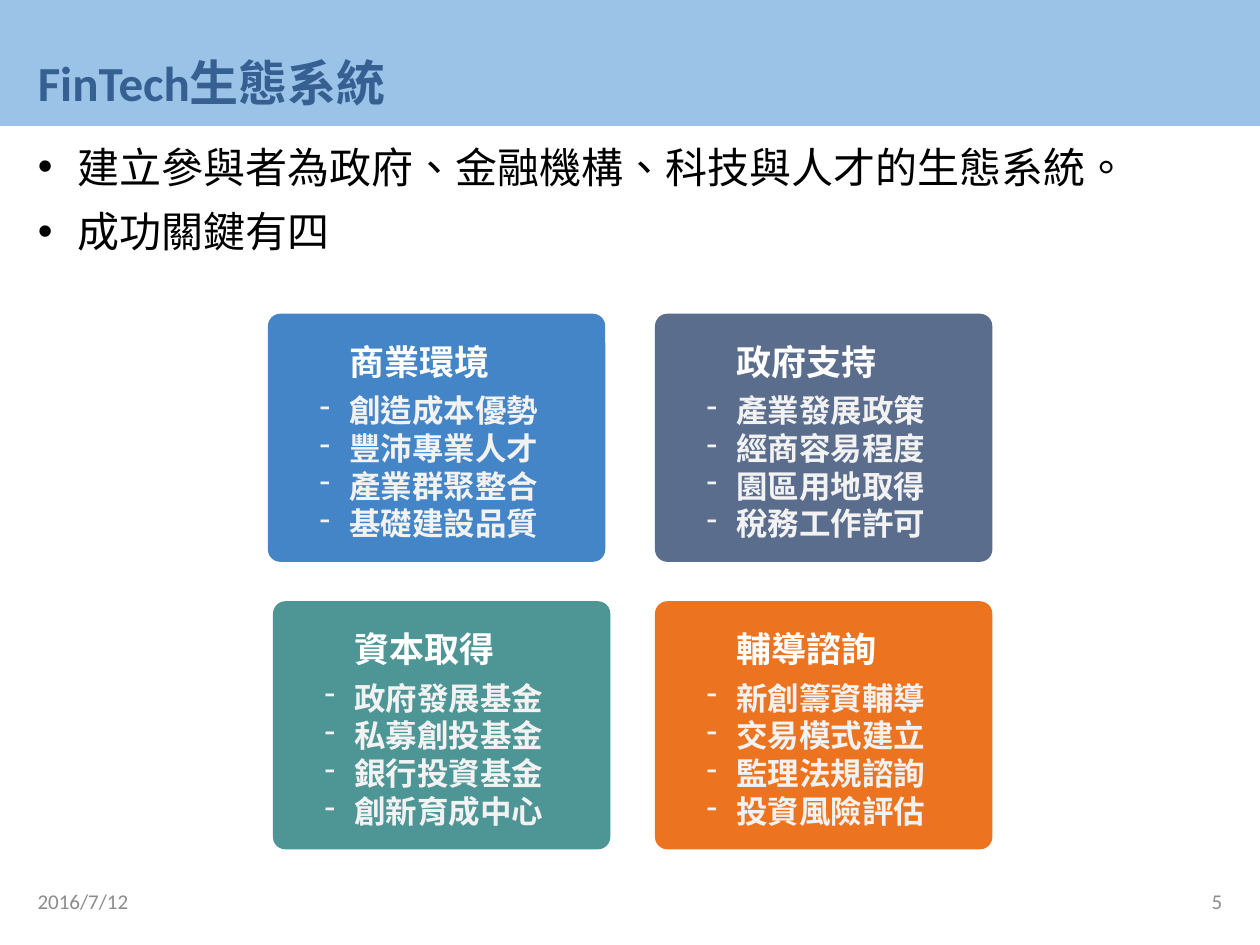
import dataclasses

import lxml.etree
import pptx
import pptx.dml.color
import pptx.enum.lang
import pptx.enum.shapes
import pptx.enum.text
import pptx.oxml.ns
import pptx.util

Pt = pptx.util.Pt
RGB = pptx.dml.color.RGBColor.from_string
ALIGN = pptx.enum.text.PP_ALIGN
ANCHOR = pptx.enum.text.MSO_ANCHOR
FIT = pptx.enum.text.MSO_AUTO_SIZE
PRESET = pptx.enum.shapes.MSO_SHAPE


@dataclasses.dataclass(frozen=True)
class Theme:
    """Fonts, type sizes and colours of the slide."""
    font: str = "Calibri"
    card_font: str = "Noto Sans CJK SC"
    title_size: int = 28
    body_size: int = 24
    heading_size: int = 20
    item_size: int = 18
    footer_size: int = 12
    banner: str = "9BC2E7"
    title: str = "376092"
    body: str = "000000"
    heading: str = "FFFFFF"
    item: str = "F2F2F2"
    footer: str = "8C8C8C"


theme = Theme()


def write_lines(box, lines, font, size, color, bold=False, align=ALIGN.LEFT,
                bullet=None, indent=0, before=0, anchor=ANCHOR.TOP, fit=FIT.NONE):
    """Fill a box with one formatted paragraph per line."""
    frame = box.text_frame
    frame.word_wrap = True
    frame.auto_size = fit
    frame.vertical_anchor = anchor
    for index, line in enumerate(lines):
        para = frame.add_paragraph() if index else frame.paragraphs[0]
        para.alignment = align
        para.space_before = Pt(before)
        para.line_spacing = Pt(size * 1.2)
        if bullet:
            properties = para._p.get_or_add_pPr()
            properties.set("marL", str(Pt(indent)))
            properties.set("indent", str(-Pt(indent)))
            mark = lxml.etree.SubElement(properties, pptx.oxml.ns.qn("a:buChar"))
            mark.set("char", bullet)
        span = para.add_run()
        span.text = line
        span.font.name = font
        span.font.size = Pt(size)
        span.font.bold = bold
        span.font.color.rgb = RGB(color)
        span.font.language_id = pptx.enum.lang.MSO_LANGUAGE_ID.TRADITIONAL_CHINESE


def add_panel(shapes, preset, left, top, width, height, color):
    """Add a flat filled shape without outline or shadow."""
    panel = shapes.add_shape(preset, Pt(left), Pt(top), Pt(width), Pt(height))
    panel.shadow.inherit = False
    panel.fill.solid()
    panel.fill.fore_color.rgb = RGB(color)
    panel.line.fill.background()
    return panel


deck = pptx.Presentation()
deck.slide_width, deck.slide_height = Pt(720), Pt(540)
page = deck.slides.add_slide(deck.slide_layouts[1])
margin, text_width = 14.4, 692

# Banner, title and opening points
title, body = page.shapes.title, page.placeholders[1]
banner = add_panel(page.shapes, PRESET.RECTANGLE, 0, 0, 720, 72, theme.banner)
title.element.addprevious(banner.element)

for box, top, height in ((title, 15.8, 62), (body, 77, 420)):
    box.left, box.top = Pt(margin), Pt(top)
    box.width, box.height = Pt(text_width), Pt(height)
write_lines(title, ["FinTech生態系統"], theme.font, theme.title_size, theme.title,
            bold=True, anchor=ANCHOR.MIDDLE)
write_lines(body, ["建立參與者為政府、金融機構、科技與人才的生態系統。", "成功關鍵有四"],
            theme.font, theme.body_size, theme.body,
            bullet="•", indent=22.5, before=8)

# Footer
footer_width = 168
for label, left, align in (
    ("2016/7/12", margin, ALIGN.LEFT),
    ("5", 720 - margin - footer_width, ALIGN.RIGHT),
):
    box = page.shapes.add_textbox(Pt(left), Pt(500.5), Pt(footer_width), Pt(28.75))
    write_lines(box, [label], theme.font, theme.footer_size, theme.footer,
                align=align, anchor=ANCHOR.MIDDLE)

# Four success factors
upper, lower, right = 179.3, 343.6, 374.3
cards = (
    (153.1, upper, "4385C6", "商業環境",
     ["創造成本優勢", "豐沛專業人才", "產業群聚整合", "基礎建設品質"]),
    (right, upper, "5A6D8D", "政府支持",
     ["產業發展政策", "經商容易程度", "園區用地取得", "稅務工作許可"]),
    (156, lower, "4E9695", "資本取得",
     ["政府發展基金", "私募創投基金", "銀行投資基金", "創新育成中心"]),
    (right, lower, "EC7320", "輔導諮詢",
     ["新創籌資輔導", "交易模式建立", "監理法規諮詢", "投資風險評估"]),
)
for left, top, color, heading, items in cards:
    card = page.shapes.add_group_shape()
    panel = add_panel(card.shapes, PRESET.ROUNDED_RECTANGLE,
                      left, top, 192.8, 141.8, color)
    panel.adjustments[0] = 0.05
    heading_box = card.shapes.add_textbox(
        Pt(left + 39.6), Pt(top + 11.5), Pt(118.8), Pt(31.5))
    write_lines(heading_box, [heading], theme.card_font, theme.heading_size,
                theme.heading, bold=True, fit=FIT.SHAPE_TO_FIT_TEXT)
    item_box = card.shapes.add_textbox(
        Pt(left + 22.4), Pt(top + 40.6), Pt(147.6), Pt(94.3))
    write_lines(item_box, items, theme.card_font, theme.item_size, theme.item,
                bold=True, bullet="-", indent=17, fit=FIT.SHAPE_TO_FIT_TEXT)

deck.save("out.pptx")
